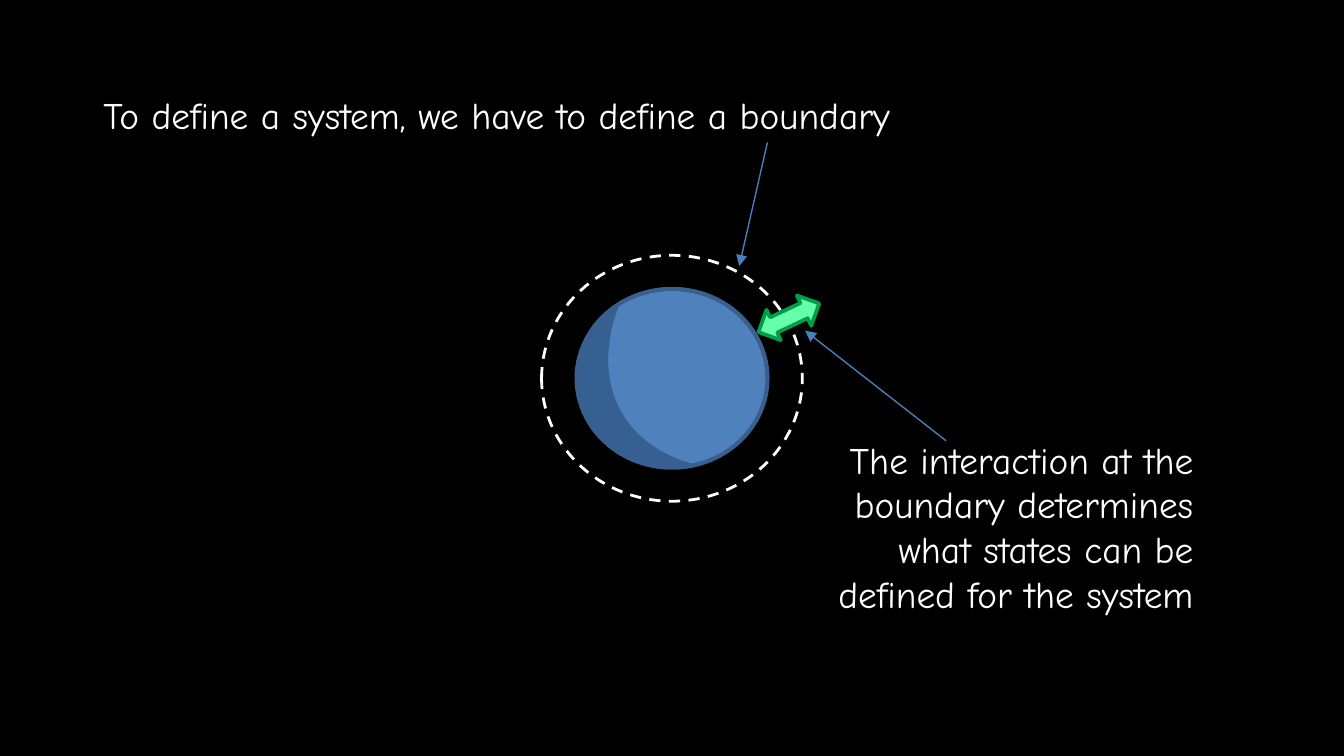
from dataclasses import dataclass
from typing import Any, NamedTuple

from pptx import Presentation
from pptx.dml.color import RGBColor
from pptx.enum.dml import MSO_LINE_DASH_STYLE as Dash
from pptx.enum.shapes import MSO_CONNECTOR as Conn, MSO_SHAPE as Shape
from pptx.enum.text import MSO_AUTO_SIZE as AutoSize, PP_ALIGN as Align
from pptx.oxml.ns import qn
from pptx.util import Inches, Pt
from lxml.etree import SubElement

Point = tuple[float, float]


@dataclass(frozen=True)
class Theme:
    font: str = "Comic Neue"
    size: float = 20
    background: str = "000000"
    text: str = "FFFFFF"
    sphere: str = "4F81BD"
    sphere_edge: str = "3A5F8C"
    sphere_shade: str = "376092"
    exchange: str = "65FFAB"
    exchange_edge: str = "009E47"
    pointer: str = "4B7EBC"


class Box(NamedTuple):
    left: float
    top: float
    width: float
    height: float


class Figure(NamedTuple):
    kind: Shape
    box: Box
    fill: str | None
    line: str
    weight: float
    dash: Dash | None = None
    rotation: float = 0


class Label(NamedTuple):
    text: str
    box: Box
    align: Align


class Pointer(NamedTuple):
    start: Point
    end: Point


THEME = Theme()
SPHERE = Figure(Shape.OVAL, Box(4.29, 2.15, 1.42, 1.33), THEME.sphere, THEME.sphere_edge, 2.25)
SHADE_START: Point = (5.19, 3.46)
SHADE_CURVES: list[tuple[Point, Point, Point]] = [
    ((4.86, 3.54), (4.52, 3.4), (4.37, 3.12)),
    ((4.21, 2.81), (4.31, 2.45), (4.61, 2.26)),
    ((4.37, 2.87), (4.66, 3.34), (5.19, 3.46)),
]
BOUNDARY = Figure(Shape.OVAL, Box(4.03, 1.9, 1.94, 1.83), None, THEME.text, 1.5, Dash.DASH)
EXCHANGE = Figure(Shape.LEFT_RIGHT_ARROW, Box(5.62, 2.24, 0.5, 0.25),
                  THEME.exchange, THEME.exchange_edge, 2, rotation=334.7)
LABELS = [
    Label("To define a system, we have to define a boundary",
          Box(0.67, 0.64, 6.25, 0.44), Align.LEFT),
    Label("The interaction at the boundary determines what states can be defined for the system",
          Box(5.75, 3.2, 3.23, 1.45), Align.RIGHT),
]
POINTERS = [Pointer((5.71, 1.06), (5.5, 1.98)), Pointer((7.04, 3.28), (5.99, 2.46))]


def rgb(value: str) -> RGBColor:
    return RGBColor.from_string(value)


def inches(values: tuple[float, ...]) -> list[int]:
    return [Inches(v) for v in values]


def paint(target: Any, color: str | None) -> None:
    if color is None:
        target.background()
    else:
        target.solid()
        target.fore_color.rgb = rgb(color)


def draw_figure(shapes: Any, fig: Figure) -> None:
    s = shapes.add_shape(fig.kind, *inches(fig.box))
    s.shadow.inherit = False
    s.rotation = fig.rotation
    paint(s.fill, fig.fill)
    paint(s.line.fill, fig.line)
    s.line.width = Pt(fig.weight)
    if fig.dash is not None:
        s.line.dash_style = fig.dash


def curve_points(start: Point, curve: tuple[Point, Point, Point], steps: int = 24) -> list[Point]:
    points = []
    controls = (start, *curve)
    for i in range(1, steps + 1):
        t = i / steps
        u = 1 - t
        weights = (u**3, 3 * u * u * t, 3 * u * t * t, t**3)
        points.append((sum(w * x for w, (x, _) in zip(weights, controls)),
                       sum(w * y for w, (_, y) in zip(weights, controls))))
    return points


def draw_shade(shapes: Any) -> None:
    points = [SHADE_START]
    for curve in SHADE_CURVES:
        points += curve_points(points[-1], curve)
    outline = [inches(point) for point in points]
    builder = shapes.build_freeform(*outline[0])
    builder.add_line_segments(outline[1:], close=True)
    s = builder.convert_to_shape()
    s.shadow.inherit = False
    paint(s.fill, THEME.sphere_shade)
    paint(s.line.fill, None)


def draw_label(shapes: Any, label: Label) -> None:
    tf = shapes.add_textbox(*inches(label.box)).text_frame
    for name, value in {"word_wrap": True, "auto_size": AutoSize.SHAPE_TO_FIT_TEXT}.items():
        setattr(tf, name, value)
    p = tf.paragraphs[0]
    p.alignment = label.align
    r = p.add_run()
    r.text = label.text
    for name, value in {"name": THEME.font, "size": Pt(THEME.size)}.items():
        setattr(r.font, name, value)
    r.font.color.rgb = rgb(THEME.text)


def draw_pointer(shapes: Any, pointer: Pointer) -> None:
    s = shapes.add_connector(Conn.STRAIGHT, *inches(pointer.start + pointer.end))
    paint(s.line.fill, THEME.pointer)
    s.line.width = Pt(0.75)
    SubElement(s._element.spPr.find(qn("a:ln")), qn("a:tailEnd"), type="triangle")
    SubElement(s._element.spPr, qn("a:effectLst"))


def main() -> None:
    prs = Presentation()
    prs.slide_width, prs.slide_height = Inches(10), Inches(10 * 9 / 16)
    slide = prs.slides.add_slide(prs.slide_layouts[6])
    paint(slide.background.fill, THEME.background)
    shapes = slide.shapes
    system = shapes.add_group_shape()
    draw_figure(system.shapes, SPHERE)
    draw_shade(system.shapes)
    for fig in (BOUNDARY, EXCHANGE):
        draw_figure(shapes, fig)
    for label in LABELS:
        draw_label(shapes, label)
    for pointer in POINTERS:
        draw_pointer(shapes, pointer)
    prs.save("out.pptx")


if __name__ == "__main__":
    main()
